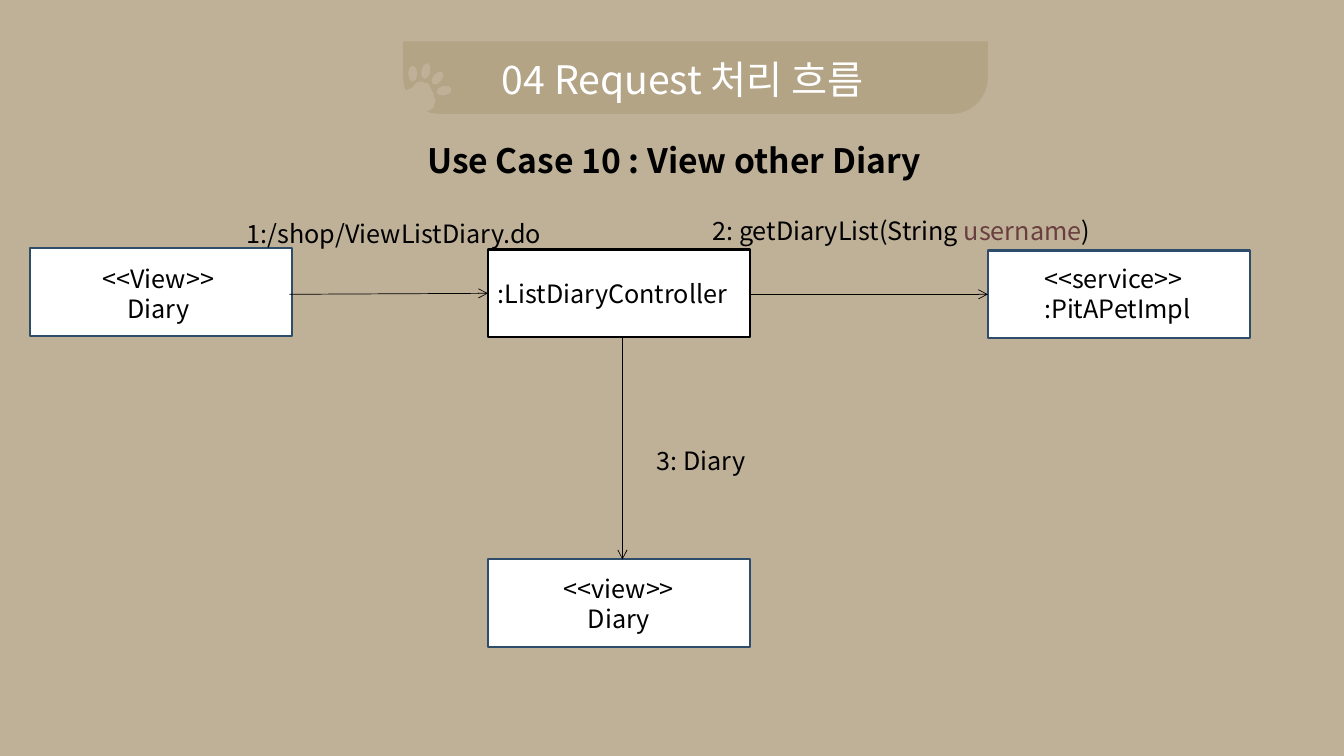
import math
from dataclasses import dataclass

import lxml.etree
import pptx
import pptx.dml.color
import pptx.enum.shapes
import pptx.enum.text
import pptx.oxml.ns
import pptx.util

# The slide is a grid of square cells, ten to the inch
CELL = pptx.util.Inches(0.1)
COLUMNS, ROWS = 133.33, 75
FONT = "Noto Sans CJK KR"
LINE_HEIGHT = 1.2
COLORS = {
    "sand": "BFB198", "banner": "B4A486", "white": "FFFFFF",
    "black": "000000", "navy": "2D4D6A", "argument": "6A3E3E",
}
LEFT = pptx.enum.text.PP_ALIGN.LEFT
CENTER = pptx.enum.text.PP_ALIGN.CENTER

# Columns and rows shared by the boxes and the arrows
BOX_WIDTH, BOX_HEIGHT = 26, 8.7
VIEW_COL, CONTROLLER_COL, SERVICE_COL = 3, 48.4, 98
FLOW_ROW, RESULT_ROW = 24.75, 55.5
CALL_ROW, RETURN_COL = 29.2, 61.75
PAW_STEPS_PER_CELL = 100


@dataclass(frozen=True)
class Run:
    text: str
    color: str = "black"


@dataclass(frozen=True)
class Label:
    col: float
    row: float
    width: float
    height: float
    lines: tuple[tuple[Run, ...], ...]
    size: int = 18
    bold: bool = False
    align: pptx.enum.text.PP_ALIGN = LEFT
    wrap: bool = True


@dataclass(frozen=True)
class Box:
    col: float
    row: float
    outline: str = "navy"


@dataclass(frozen=True)
class Arrow:
    start: tuple[float, float]
    end: tuple[float, float]


@dataclass(frozen=True)
class Toe:
    col: float
    row: float
    across: float
    down: float
    tilt: float

    def outline(self, steps: int = 8) -> list[tuple[float, float]]:
        tilt = math.radians(self.tilt)
        points = []
        for step in range(steps):
            turn = math.tau * step / steps
            x, y = self.across * math.cos(turn), self.down * math.sin(turn)
            points.append((self.col + x * math.cos(tilt) - y * math.sin(tilt),
                           self.row + x * math.sin(tilt) + y * math.cos(tilt)))
        return points


BOXES = (
    Box(VIEW_COL, FLOW_ROW - 0.1),
    Box(CONTROLLER_COL, FLOW_ROW, "black"),
    Box(SERVICE_COL, FLOW_ROW + 0.1),
    Box(CONTROLLER_COL, RESULT_ROW),
)
ARROWS = (
    Arrow((28.7, CALL_ROW), (CONTROLLER_COL, CALL_ROW - 0.1)),
    Arrow((CONTROLLER_COL + BOX_WIDTH, CALL_ROW), (SERVICE_COL, CALL_ROW)),
    Arrow((RETURN_COL, FLOW_ROW + BOX_HEIGHT), (RETURN_COL, RESULT_ROW)),
)
LABELS = (
    Label(48.8, 5, 40.4, 10.4, ((Run("04 Request 처리 흐름", "white"),),),
          size=28, wrap=False),
    Label(41.4, 13.4, 58.2, 5, ((Run("Use Case 10 : View other Diary"),),),
          size=24, bold=True),
    Label(5.8, 25.65, 19.8, 7, ((Run("<<View>>"),), (Run("Diary"),)), align=CENTER),
    Label(48.4, 27.15, 26.8, 4, ((Run(":ListDiaryController"),),)),
    Label(102.6, 25.6, 16.9, 7, ((Run("<<service>>"),), (Run(":PitAPetImpl"),)),
          wrap=False),
    Label(50.35, 56.35, 22.1, 7, ((Run("<<view>>"),), (Run("Diary"),)), align=CENTER),
    Label(23.5, 21.15, 31.5, 4, ((Run("1:/shop/ViewListDiary.do"),),)),
    Label(69.7, 20.85, 41.3, 4, ((Run("2: getDiaryList(String "),
                                  Run("username", "argument"), Run(")")),)),
    Label(64.15, 43.7, 20.5, 4, ((Run("3: Diary"),),)),
)
PAW_PAD = [
    (41.8, 8.1), (42.5, 8.3), (43, 9.3), (43.2, 10), (43, 10.7), (42.5, 11),
    (41.6, 11.3), (40.8, 11), (40.3, 10.5), (40, 9.7), (40.2, 9), (40.9, 8.7),
    (41.3, 8.2),
]
PAW_TOES = (
    Toe(44.05, 9, 0.78, 0.47, -12), Toe(43.4, 7.75, 0.75, 0.45, -52),
    Toe(40.95, 7.3, 0.45, 0.8, 0), Toe(42.25, 7.05, 0.45, 0.8, 12),
)


def cells(*counts: float) -> list[int]:
    return [round(count * CELL) for count in counts]


def rgb(name: str) -> pptx.dml.color.RGBColor:
    return pptx.dml.color.RGBColor.from_string(COLORS[name])


def paint(shape, fill: str, outline: str | None = None) -> None:
    shape.shadow.inherit = False
    shape.fill.solid()
    shape.fill.fore_color.rgb = rgb(fill)
    if outline is None:
        shape.line.fill.background()
    else:
        shape.line.color.rgb = rgb(outline)
        shape.line.width = pptx.util.Pt(1.5)


def draw_banner(shapes) -> None:
    banner = shapes.add_shape(
        pptx.enum.shapes.MSO_SHAPE.ROUND_2_SAME_RECTANGLE, *cells(40, 4.1, 58, 7.2))
    banner.rotation = 180
    banner.adjustments[0], banner.adjustments[1] = 0.5, 0
    paint(banner, "banner")


def draw_paw(shapes) -> None:
    pad, *toes = [
        [(x * PAW_STEPS_PER_CELL, y * PAW_STEPS_PER_CELL) for x, y in points]
        for points in (PAW_PAD, *(toe.outline() for toe in PAW_TOES))]
    outline = shapes.build_freeform(*pad[0], scale=CELL / PAW_STEPS_PER_CELL)
    outline.add_line_segments(pad[1:], close=True)
    for toe in toes:
        outline.move_to(*toe[0])
        outline.add_line_segments(toe[1:], close=True)
    paint(outline.convert_to_shape(), "sand")


def draw_box(shapes, box: Box) -> None:
    frame = shapes.add_shape(pptx.enum.shapes.MSO_SHAPE.RECTANGLE,
                             *cells(box.col, box.row, BOX_WIDTH, BOX_HEIGHT))
    paint(frame, "white", box.outline)


def draw_arrow(shapes, arrow: Arrow) -> None:
    flow = shapes.add_connector(pptx.enum.shapes.MSO_CONNECTOR.STRAIGHT,
                                *cells(*arrow.start, *arrow.end))
    flow.line.color.rgb = rgb("black")
    flow.line.width = pptx.util.Pt(0.5)
    qn = pptx.oxml.ns.qn
    lxml.etree.SubElement(flow.line._get_or_add_ln(), qn("a:tailEnd"), type="arrow")
    lxml.etree.SubElement(flow._element.spPr, qn("a:effectLst"))


def draw_label(shapes, label: Label) -> None:
    area = cells(label.col, label.row, label.width, label.height)
    frame = shapes.add_textbox(*area).text_frame
    frame.word_wrap = label.wrap
    frame.auto_size = pptx.enum.text.MSO_AUTO_SIZE.SHAPE_TO_FIT_TEXT
    for index, line in enumerate(label.lines):
        paragraph = frame.add_paragraph() if index else frame.paragraphs[0]
        paragraph.alignment = label.align
        paragraph.line_spacing = pptx.util.Pt(label.size * LINE_HEIGHT)
        for part in line:
            run = paragraph.add_run()
            run.text = part.text
            run.font.name = FONT
            run.font.size = pptx.util.Pt(label.size)
            run.font.bold = label.bold
            run.font.color.rgb = rgb(part.color)
            # Korean letters take the East Asian font
            lxml.etree.SubElement(run.font._element, pptx.oxml.ns.qn("a:ea"),
                                  typeface=FONT)


def main() -> None:
    deck = pptx.Presentation()
    deck.slide_width, deck.slide_height = cells(COLUMNS, ROWS)
    slide = deck.slides.add_slide(deck.slide_layouts[6])
    slide.background.fill.solid()
    slide.background.fill.fore_color.rgb = rgb("sand")

    # Title banner
    draw_banner(slide.shapes)
    draw_paw(slide.shapes)

    # Request flow
    for box in BOXES:
        draw_box(slide.shapes, box)
    for arrow in ARROWS:
        draw_arrow(slide.shapes, arrow)
    for label in LABELS:
        draw_label(slide.shapes, label)

    deck.save("out.pptx")


if __name__ == "__main__":
    main()
